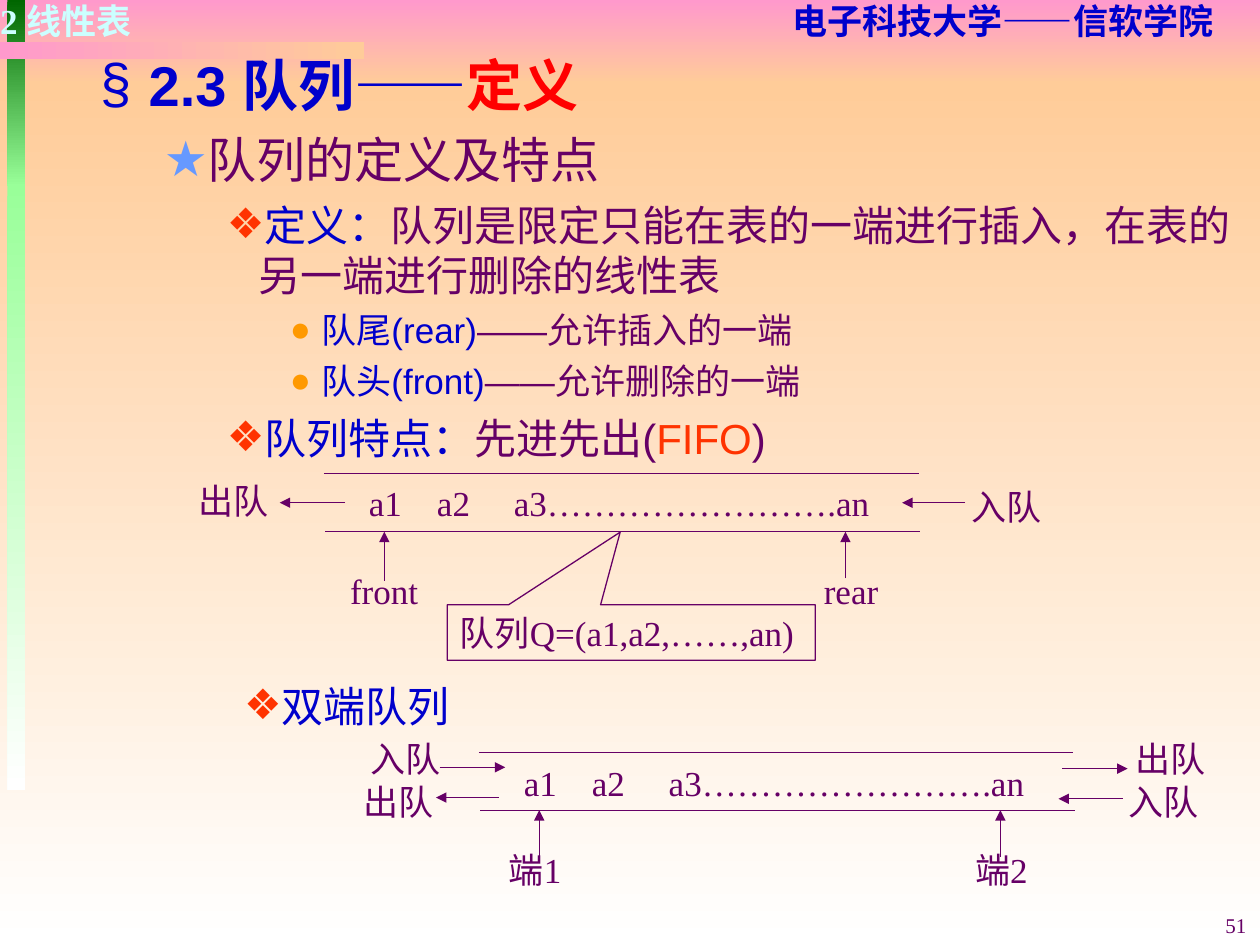
"""Builds a lecture slide that defines the queue and the double-ended queue."""
from lxml.etree import SubElement
from pptx import Presentation
from pptx.dml.color import RGBColor
from pptx.enum.shapes import MSO_CONNECTOR, MSO_SHAPE
from pptx.enum.text import MSO_ANCHOR, MSO_AUTO_SIZE, PP_ALIGN
from pptx.oxml.ns import qn
from pptx.util import Inches, Pt

COLORS = {
    "pink": "FF99CC", "peach": "FFCC99", "white": "FFFFFF",
    "dark_green": "006600", "light_green": "99FF99", "pale_cyan": "CCFFFF",
    "blue": "0000CC", "red": "FF0000", "purple": "660066",
    "sky": "6699FF", "vermilion": "FF3300", "orange": "FF9900",
}
LEVELS = [
    {"size": 32, "indent": 0.38, "hanging": 0.38, "before": 8, "bullet": "§", "bullet_color": "blue"},
    {"size": 28, "indent": 0.81, "hanging": 0.31, "before": 7, "bullet": "★", "bullet_color": "sky"},
    {"size": 24, "indent": 1.25, "hanging": 0.25, "before": 6, "bullet": "❖", "bullet_color": "vermilion"},
    {"size": 20, "indent": 1.75, "hanging": 0.25, "before": 5, "bullet": "●", "bullet_color": "orange"},
]


def write(frame, text, color="purple", size=20, font="Times New Roman", bold=False,
          align=PP_ALIGN.LEFT, level=None, new_paragraph=True):
    paragraph = frame.paragraphs[-1]
    if new_paragraph and paragraph.runs:
        paragraph = frame.add_paragraph()
    if new_paragraph:
        paragraph.alignment = align
    if level is not None:
        style = LEVELS[level]
        size, font = style["size"], "Arial"
        if new_paragraph:
            paragraph.level = level
            paragraph.space_before = Pt(style["before"])
            properties = paragraph._p.get_or_add_pPr()
            properties.set("marL", str(Inches(style["indent"])))
            properties.set("indent", str(-Inches(style["hanging"])))
            bullet_color = SubElement(properties, qn("a:buClr"))
            SubElement(bullet_color, qn("a:srgbClr")).set("val", COLORS[style["bullet_color"]])
            SubElement(properties, qn("a:buFont")).set("typeface", "Arial")
            SubElement(properties, qn("a:buChar")).set("char", style["bullet"])
    run = paragraph.add_run()
    run.text = text
    run.font.size = Pt(size)
    run.font.name = font
    run.font.bold = bold
    run.font.color.rgb = RGBColor.from_string(COLORS[color])


def connect(x1, y1, x2, y2, arrow=True):
    connector = shapes.add_connector(
        MSO_CONNECTOR.STRAIGHT, Inches(x1), Inches(y1), Inches(x2), Inches(y2))
    connector.line.color.rgb = RGBColor.from_string(COLORS["purple"])
    connector.line.width = Pt(0.75)
    if arrow:
        SubElement(connector.line._get_or_add_ln(), qn("a:tailEnd")).set("type", "triangle")
    SubElement(connector._element.spPr, qn("a:effectLst"))


presentation = Presentation()
presentation.slide_width = Inches(10)
presentation.slide_height = Inches(7.5)
slide = presentation.slides.add_slide(presentation.slide_layouts[1])
shapes = slide.shapes
title = shapes.title._element
title.getparent().remove(title)

for left, top, width, height, start, end, angle in [
    (0, 0, 10, 0.67, "pink", "peach", 270),
    (0, 0.67, 10, 6.83, "peach", "white", 270),
    (0.06, 0, 0.14, 1.48, "dark_green", "light_green", 270),
    (0.06, 1.46, 0.14, 4.81, "light_green", "white", 270),
    (0, 0.33, 2.89, 0.14, "pink", "peach", 0),
]:
    band = shapes.add_shape(
        MSO_SHAPE.RECTANGLE, Inches(left), Inches(top), Inches(width), Inches(height))
    band.shadow.inherit = False
    band.line.fill.background()
    band.fill.gradient()
    band.fill.gradient_angle = angle
    for stop, color, position in zip(band.fill.gradient_stops, (start, end), (0, 1)):
        stop.color.rgb = RGBColor.from_string(COLORS[color])
        stop.position = position

for text, left, width, color, align in [
    ("电子科技大学——信软学院", 5.92, 4.08, "blue", PP_ALIGN.CENTER),
    ("2 线性表", 0, 1.75, "pale_cyan", PP_ALIGN.LEFT),
]:
    frame = shapes.add_textbox(Inches(left), 0, Inches(width), Inches(0.33)).text_frame
    frame.word_wrap = True
    frame.margin_left = frame.margin_right = frame.margin_top = frame.margin_bottom = 0
    write(frame, text, color=color, bold=True, align=align)

body = slide.placeholders[1]
body.left, body.top, body.width, body.height = Inches(0.7), Inches(0.35), Inches(9.3), Inches(3.39)
body.text_frame.auto_size = MSO_AUTO_SIZE.NONE
shapes._spTree.append(body._element)
for level, parts in [
    (0, [("2.3 队列——", "blue"), ("定义", "red")]),
    (1, [("队列的定义及特点", "purple")]),
    (2, [("定义：", "blue"), ("队列是限定只能在表的一端进行插入，在表的另一端进行删除的线性表", "purple")]),
    (3, [("队尾(rear)", "blue"), ("——允许插入的一端", "purple")]),
    (3, [("队头(front)", "blue"), ("——允许删除的一端", "purple")]),
    (2, [("队列特点：", "blue"), ("先进先出(", "purple"), ("FIFO", "vermilion"), (")", "purple")]),
]:
    for index, (text, color) in enumerate(parts):
        write(body.text_frame, text, color=color, bold=level == 0, level=level,
              new_paragraph=index == 0)

deque_heading = shapes.add_textbox(Inches(0.84), Inches(5.35), Inches(2.9), Inches(0.44))
deque_heading.text_frame.word_wrap = True
write(deque_heading.text_frame, "双端队列", color="blue", level=2)

for dx, dy in [(0, 0), (1.23, 2.21)]:
    connect(2.57 + dx, 3.76 + dy, 7.29 + dx, 3.76 + dy, arrow=False)
    connect(2.58 + dx, 4.22 + dy, 7.3 + dx, 4.22 + dy, arrow=False)
    connect(3.05 + dx, 4.61 + dy, 3.05 + dx, 4.22 + dy)
    connect(6.71 + dx, 4.59 + dy, 6.71 + dx, 4.22 + dy)

for x1, x2, y in [
    (7.66, 7.16, 3.99), (2.74, 2.22, 3.99),
    (8.91, 8.4, 6.34), (8.43, 8.95, 6.1),
    (3.96, 3.46, 6.33), (3.49, 4.01, 6.09),
]:
    connect(x1, y, x2, y)

queue_items = "a1    a2     a3…………………….an"
for text, left, top, width in [
    (queue_items, 2.83, 3.77, 4.24), (queue_items, 4.06, 5.99, 4.24),
    ("入队", 7.61, 3.8, 0.75), ("出队", 1.48, 3.75, 0.75),
    ("front", 2.68, 4.47, 0.74), ("rear", 6.44, 4.47, 0.63),
    ("端1", 3.94, 6.68, 0.68), ("端2", 7.64, 6.68, 0.68),
    ("入队", 8.86, 6.14, 0.75), ("出队", 8.91, 5.8, 0.75),
    ("出队", 2.79, 6.14, 0.75), ("入队", 2.84, 5.8, 0.75),
]:
    frame = shapes.add_textbox(Inches(left), Inches(top), Inches(width), Inches(0.44)).text_frame
    frame.word_wrap = True
    frame.margin_right = 0
    frame.vertical_anchor = MSO_ANCHOR.MIDDLE
    write(frame, text)

callout = shapes.add_shape(
    MSO_SHAPE.RECTANGULAR_CALLOUT, Inches(3.55), Inches(4.8), Inches(2.92), Inches(0.44))
callout.adjustments[0] = -0.03
callout.adjustments[1] = -1.81
callout.shadow.inherit = False
callout.fill.background()
callout.line.color.rgb = RGBColor.from_string(COLORS["purple"])
callout.line.width = Pt(0.75)
callout.text_frame.word_wrap = False
callout.text_frame.vertical_anchor = MSO_ANCHOR.MIDDLE
write(callout.text_frame, "队列Q=(a1,a2,……,an)")

page_number = shapes.add_textbox(Inches(7.66), Inches(7.14), Inches(2.33), Inches(0.4))
page_number.text_frame.word_wrap = True
page_number.text_frame.vertical_anchor = MSO_ANCHOR.MIDDLE
write(page_number.text_frame, "51", size=12, align=PP_ALIGN.RIGHT)

presentation.save("out.pptx")
